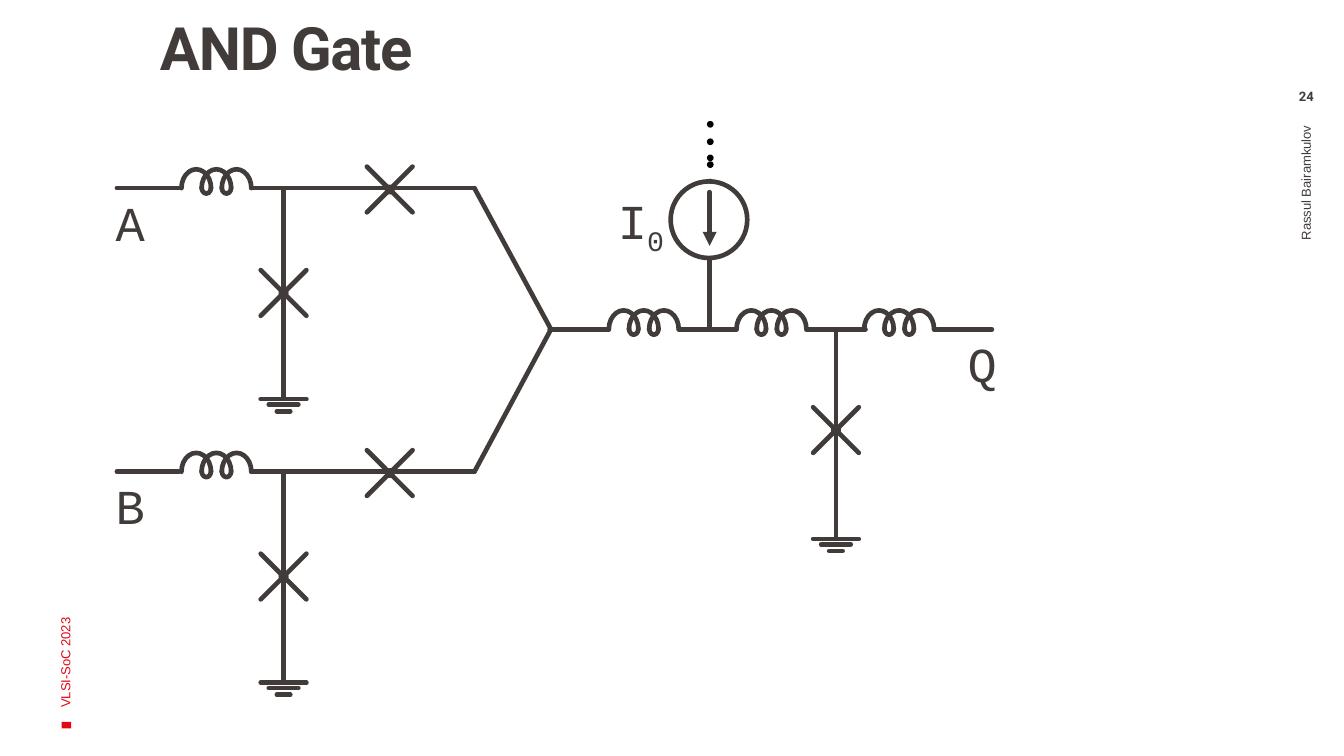
from dataclasses import dataclass
from typing import Any

from lxml import etree
from pptx import Presentation
from pptx import util as u
from pptx.dml import color
from pptx.enum import shapes, text
from pptx.oxml import ns

INK, RED, WHITE, BLACK = "413C3A", "E30613", "FFFFFF", "000000"


def rgb(value):
    """Turn a hex string into a colour."""
    return color.RGBColor.from_string(value)


def write(paragraph, content, size=7, font="Arial", ink=INK, bold=False, spacing=None, baseline=None):
    """Add one formatted run to a paragraph."""
    run = paragraph.add_run()
    run.text = content
    run.font.size = u.Pt(size)
    run.font.name = font
    run.font.bold = bold
    run.font.color.rgb = rgb(ink)
    properties = run.font._element
    if spacing is not None:
        properties.set("spc", str(spacing))
    if baseline is not None:
        properties.set("baseline", str(baseline))


def frame_text(frame, align, anchor, insets):
    """Lay out a text frame and return its first paragraph."""
    frame.word_wrap = True
    frame.auto_size = text.MSO_AUTO_SIZE.NONE
    frame.vertical_anchor = anchor
    left, top, right, bottom = map(u.Inches, insets)
    frame.margin_left, frame.margin_top = left, top
    frame.margin_right, frame.margin_bottom = right, bottom
    paragraph = frame.paragraphs[0]
    paragraph.alignment = align
    return paragraph


@dataclass
class Circuit:
    """Draw circuit elements on the current slide in one line style."""

    slide: Any
    ink: str = INK
    weight: float = 2.5

    def stroke(self, item):
        """Give an item the round circuit line."""
        item.line.color.rgb = rgb(self.ink)
        item.line.width = u.Pt(self.weight)
        outline = item._element.spPr.get_or_add_ln()
        outline.set("cap", "rnd")
        return outline

    def title(self, content, box):
        """Fill the title placeholder."""
        heading = self.slide.shapes.title
        heading.left, heading.top, heading.width, heading.height = map(u.Inches, box)
        paragraph = frame_text(heading.text_frame, text.PP_ALIGN.LEFT, text.MSO_ANCHOR.TOP, (0.2, 0, 0.08, 0.05))
        paragraph.line_spacing = 0.9
        write(paragraph, content, size=32, font="Roboto", bold=True, spacing=-70)

    def label(self, content, box, align=text.PP_ALIGN.CENTER, anchor=text.MSO_ANCHOR.MIDDLE,
              insets=(0.1, 0.05, 0.1, 0.05), rotation=0, **style):
        """Add a text box and return its paragraph."""
        caption = self.slide.shapes.add_textbox(*map(u.Inches, box))
        caption.rotation = rotation
        paragraph = frame_text(caption.text_frame, align, anchor, insets)
        write(paragraph, content, **style)
        return paragraph

    def symbol(self, name, box, subscript=""):
        """Name a terminal or source."""
        style = {"size": 26.1, "font": "Courier New"}
        paragraph = self.label(name, box, **style)
        if subscript:
            write(paragraph, subscript, baseline=-25000, **style)

    def wire(self, x1, y1, x2, y2, arrow=False, parent=None):
        """Draw a straight wire."""
        home = (parent or self.slide).shapes
        link = home.add_connector(shapes.MSO_CONNECTOR.STRAIGHT, *map(u.Inches, (x1, y1, x2, y2)))
        outline = self.stroke(link)
        if arrow:
            etree.SubElement(outline, ns.qn("a:tailEnd"), type="triangle")
        etree.SubElement(link._element.spPr, ns.qn("a:effectLst"))

    def figure(self, kind, box, fill=None, lined=True, parent=None):
        """Draw a preset shape."""
        home = (parent or self.slide).shapes
        part = home.add_shape(kind, *map(u.Inches, box))
        part.shadow.inherit = False
        if fill:
            part.fill.solid()
            part.fill.fore_color.rgb = rgb(fill)
        else:
            part.fill.background()
        if lined:
            self.stroke(part)
        else:
            part.line.fill.background()
        return part

    def coil(self, x, y):
        """Draw an inductor of three turns."""
        turns = [(x + 0.15 * n, y - 0.14, 0.22, 0.28, 0) for n in range(3)]
        loops = [(x + 0.15 * n, y - 0.05, 0.07, 0.09, 180) for n in (1, 2)]
        for *box, rotation in turns + loops:
            arc = self.figure(shapes.MSO_SHAPE.ARC, box)
            arc.adjustments[0] = 107.836
            arc.adjustments[1] = 0
            arc.rotation = rotation

    def junction(self, x, y):
        """Draw a Josephson junction cross."""
        group = self.slide.shapes.add_group_shape()
        for rise in (0.17, -0.17):
            self.wire(x - 0.17, y - rise, x + 0.17, y + rise, parent=group)
        self.figure(shapes.MSO_SHAPE.OVAL, (x - 0.02, y - 0.02, 0.04, 0.04), parent=group)

    def ground(self, x, y):
        """Draw a ground sign."""
        group = self.slide.shapes.add_group_shape()
        for half, drop in ((0.17, 0), (0.11, 0.04), (0.05, 0.09)):
            self.wire(x - half, y + drop, x + half, y + drop, parent=group)

    def shunt(self, x, top, cross):
        """Draw a junction branch down to ground."""
        self.wire(x, top, x, top + 1.54)
        self.junction(x, cross)
        self.ground(x, top + 1.56)

    def source(self, x, y):
        """Draw a current source with its dotted supply."""
        group = self.slide.shapes.add_group_shape()
        for dot in (0.9, 1.03, 1.15, 1.2, 1.33):
            self.figure(shapes.MSO_SHAPE.OVAL, (x - 0.02, dot, 0.05, 0.05), BLACK, lined=False, parent=group)
        self.figure(shapes.MSO_SHAPE.OVAL, (x - 0.29, y - 0.29, 0.57, 0.57), WHITE, parent=group)
        self.wire(x, y - 0.21, x, y + 0.19, arrow=True, parent=group)

    def input_branch(self, name, y, merge):
        """Draw one gate input up to the merging point."""
        self.wire(0.87, y, 1.33, y)
        self.coil(1.35, y)
        self.wire(1.87, y, 3.53, y)
        self.junction(2.9, y + 0.01)
        self.shunt(2.11, y + 0.01, y + 0.78)
        self.wire(3.53, y, *merge)
        self.symbol(name, (0.67, y - 0.02, 0.6, 0.54))


def main():
    """Build the AND gate slide."""
    deck = Presentation()
    deck.slide_width = u.Inches(10)
    deck.slide_height = deck.slide_width * 9 // 16
    gate = Circuit(deck.slides.add_slide(deck.slide_layouts[5]))

    gate.title("AND Gate", (0.99, 0.14, 5.79, 1.17))
    gate.figure(shapes.MSO_SHAPE.RECTANGLE, (0.47, 5.36, 0.05, 0.07), RED, lined=False).rotation = 270
    gate.label("Rassul Bairamkulov", (7.78, 2.49, 3.87, 0.56), align=text.PP_ALIGN.RIGHT, rotation=270)
    gate.label("24", (9.44, 0.66, 0.56, 0.18), anchor=text.MSO_ANCHOR.TOP, insets=(0.1, 0, 0.1, 0),
               font="Roboto", bold=True)
    gate.label("VLSI-SoC 2023", (-1.34, 3.04, 3.65, 1), align=text.PP_ALIGN.LEFT, rotation=270, ink=RED)

    bus = 2.45
    for name, y in (("A", 1.4), ("B", 3.51)):
        gate.input_branch(name, y, (4.1, bus))
    for start, end in ((4.09, 4.53), (5.05, 5.48), (6, 6.44), (6.95, 7.38)):
        gate.wire(start, bus, end, bus)
    for x in (4.53, 5.48, 6.43):
        gate.coil(x, bus)
    gate.shunt(6.22, bus, 3.2)
    gate.wire(5.28, bus, 5.28, 1.92)
    gate.source(5.28, 1.64)
    gate.symbol("I", (4.47, 1.49, 0.6, 0.35), subscript="0")
    gate.symbol("Q", (7.01, 2.43, 0.6, 0.54))

    deck.save("out.pptx")


if __name__ == "__main__":
    main()
